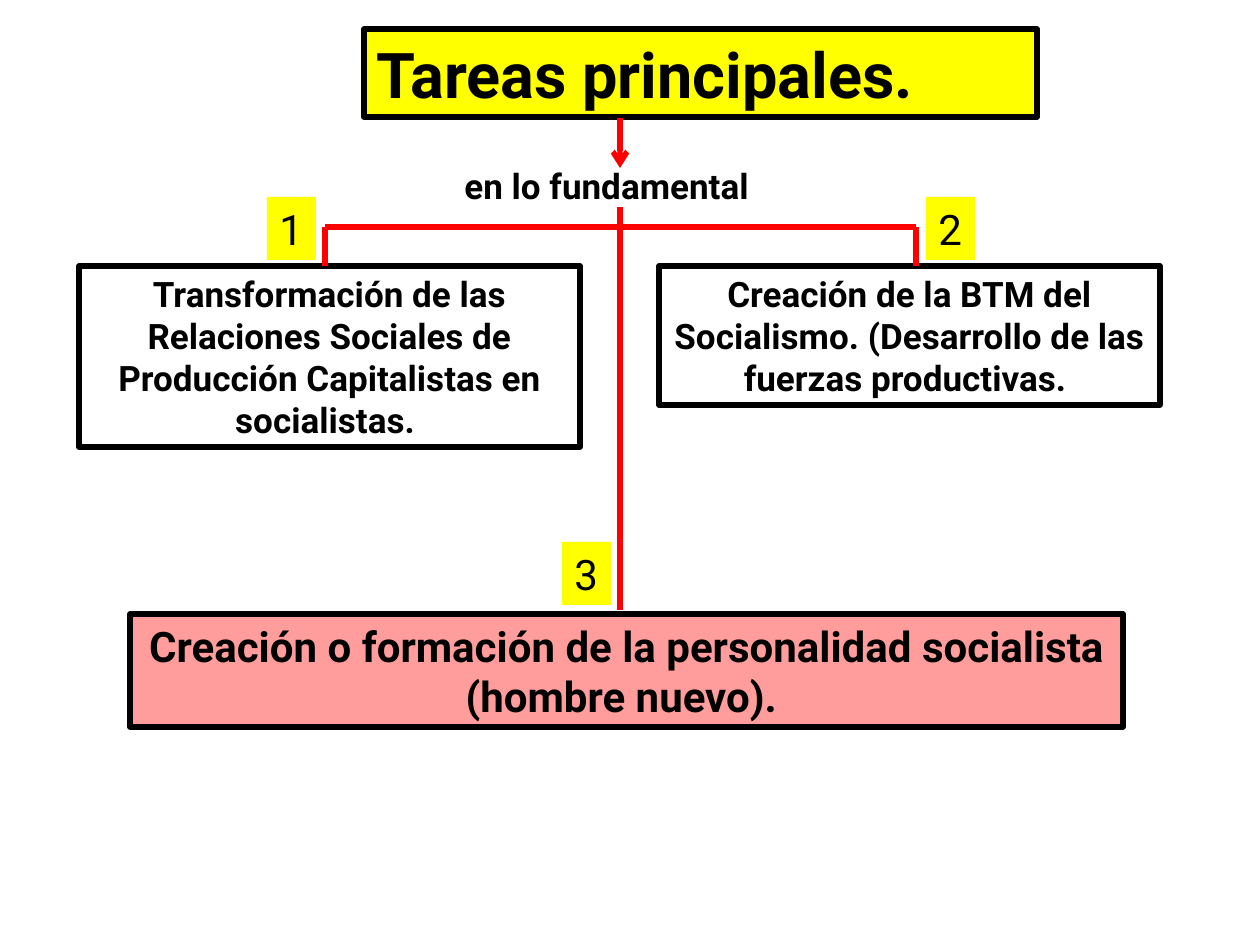
from lxml.etree import SubElement
from pptx import Presentation
from pptx.dml.color import RGBColor
from pptx.enum.shapes import MSO_CONNECTOR, MSO_SHAPE
from pptx.enum.text import MSO_ANCHOR, MSO_AUTO_SIZE, PP_ALIGN
from pptx.oxml.ns import qn
from pptx.util import Pt

SCALE = 914400 / 126
FONT = "Roboto"
HUES = {"ink": "000000", "mark": "FFFF00", "red": "FF0000", "page": "FFFFFF"}


def px(num):
    """Turn pixels into EMU."""
    return round(num * SCALE)


def hue(name):
    """Return a named colour."""
    return RGBColor.from_string(HUES[name])


def write(shape, text, size, bold=True, align=PP_ALIGN.CENTER, wrap=True):
    """Put one formatted paragraph into a shape."""
    frame = shape.text_frame
    frame.text = text
    frame.word_wrap = wrap
    frame.auto_size = MSO_AUTO_SIZE.NONE
    frame.vertical_anchor = MSO_ANCHOR.TOP
    para = frame.paragraphs[0]
    para.alignment = align
    para.line_spacing = 1.0
    para.space_before = Pt(0)
    font = para.font
    font.name, font.size, font.bold = FONT, Pt(size), bold
    font.color.rgb = hue("ink")


def paint(shape, fill=None, edge=True, alpha=None):
    """Set the fill and the outline of a shape."""
    if fill:
        shape.fill.solid()
        shape.fill.fore_color.rgb = hue(fill)
        if alpha:
            tone = shape.fill._xPr.find(qn("a:solidFill"))[0]
            SubElement(tone, qn("a:alpha"), val=str(alpha * 1000))
    else:
        shape.fill.background()
    if edge:
        shape.line.color.rgb = hue("ink")
        shape.line.width = Pt(3)
    else:
        shape.line.fill.background()


def head(slide, text, *area):
    """Place the title in its framed box."""
    shape = slide.shapes.title
    shape.left, shape.top, shape.width, shape.height = map(px, area)
    paint(shape, "mark")
    write(shape, text, 36, align=PP_ALIGN.LEFT)


def rect(slide, area):
    """Add a rectangle without a shadow."""
    shape = slide.shapes.add_shape(MSO_SHAPE.RECTANGLE, *map(px, area))
    shape.shadow.inherit = False
    return shape


def task(slide, text, size, area, fill=None, alpha=None):
    """Add a framed task box."""
    shape = rect(slide, area)
    paint(shape, fill, alpha=alpha)
    write(shape, text, size)


def badge(slide, text, left, top):
    """Add a task number."""
    shape = rect(slide, (left, top, 49, 63))
    paint(shape, "mark", edge=False)
    write(shape, text, 24, bold=False, align=PP_ALIGN.LEFT, wrap=False)


def label(slide, text, *area):
    """Add a plain text label."""
    box = slide.shapes.add_textbox(*map(px, area))
    write(box, text, 20, align=PP_ALIGN.LEFT, wrap=False)


def link(slide, *ends, arrow=False):
    """Draw a red line, with an arrowhead if asked."""
    line = slide.shapes.add_connector(MSO_CONNECTOR.STRAIGHT, *map(px, ends))
    line.line.color.rgb = hue("red")
    line.line.width = Pt(3)
    if arrow:
        SubElement(line.line._get_or_add_ln(), qn("a:tailEnd"), type="arrow")
    SubElement(line._element.spPr, qn("a:effectLst"))


def main():
    """Build the slide and save it."""
    deck = Presentation()
    deck.slide_width, deck.slide_height = px(1260), px(945)
    slide = deck.slides.add_slide(deck.slide_layouts[5])
    slide.background.fill.solid()
    slide.background.fill.fore_color.rgb = hue("page")

    head(slide, "Tareas principales.", 364, 29, 673, 88)
    task(slide, "Transformación de las Relaciones Sociales de Producción "
         "Capitalistas en socialistas. ", 20, (79, 266, 501, 181))
    task(slide, "Creación de la BTM del Socialismo. (Desarrollo de las "
         "fuerzas productivas. ", 20, (659, 266, 501, 139))
    task(slide, "Creación o formación de la personalidad socialista "
         "(hombre nuevo). ", 24, (130, 614, 993, 113), "red", 39)

    mid, left, right, bar = 620, 325, 916, 227
    link(slide, mid, 118, mid, 168, arrow=True)
    link(slide, left, bar, right, bar)
    for side in (left, right):
        link(slide, side, bar, side, 266)
    link(slide, mid, 207, mid, 610)

    label(slide, "en lo fundamental", 452, 158, 348, 55)
    for text, x, y in (("1", 267, 197), ("2", 926, 197), ("3", 562, 542)):
        badge(slide, text, x, y)
    deck.save("out.pptx")


if __name__ == "__main__":
    main()
